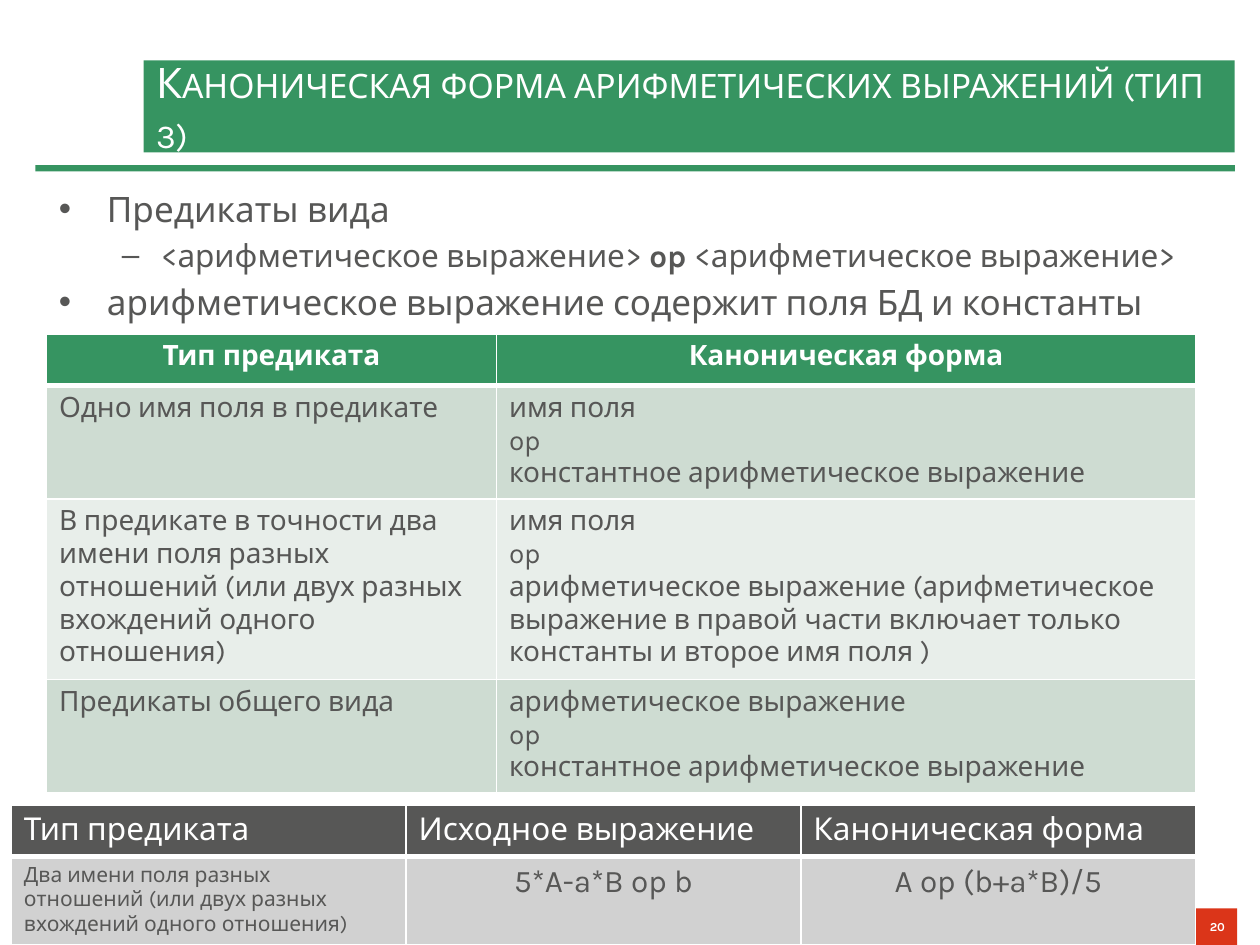
from lxml.etree import SubElement
from pptx import Presentation
from pptx.dml.color import RGBColor
from pptx.enum.shapes import MSO_SHAPE
from pptx.enum.text import MSO_ANCHOR, PP_ALIGN
from pptx.oxml.ns import qn
from pptx.util import Inches, Pt

FONT = "Karla"
COLORS = {
    "green": "369461",
    "red": "DB3519",
    "text": "575756",
    "white": "FFFFFF",
    "mint": "CEDCD2",
    "pale": "E8EEEA",
    "gray": "D1D1D1",
}


def color(name):
    """Return the named colour as RGB."""
    return RGBColor.from_string(COLORS[name])


def add_run(paragraph, text, size, ink, bold=False):
    """Append one styled run to a paragraph."""
    run = paragraph.add_run()
    run.text = text
    run.font.name = FONT
    run.font.size = Pt(size)
    run.font.bold = bold
    run.font.color.rgb = color(ink)
    return run


def add_block(slide, box, fill):
    """Add a plain filled rectangle and return it."""
    block = slide.shapes.add_shape(MSO_SHAPE.RECTANGLE, *map(Inches, box))
    block.shadow.inherit = False
    block.fill.solid()
    block.fill.fore_color.rgb = color(fill)
    block.line.fill.background()
    return block


def add_label(slide, box, fill, text, size, bold, align, inset):
    """Add a rectangle holding one line of white text and return its run."""
    frame = add_block(slide, box, fill).text_frame
    frame.word_wrap = True
    frame.vertical_anchor = MSO_ANCHOR.MIDDLE
    frame.margin_top = frame.margin_bottom = Inches(inset)
    frame.paragraphs[0].alignment = align
    return add_run(frame.paragraphs[0], text, size, "white", bold)


def add_header(slide, left, top, width):
    """Add the title band and the rule below it."""
    indent = 0.86
    title = add_label(slide, (left + indent, top, width - indent, 0.73), "green",
                      "Каноническая форма арифметических выражений (тип 3)",
                      24, False, PP_ALIGN.LEFT, 0.12)
    title.font._element.set("cap", "small")
    add_block(slide, (left, top + 0.83, width, 0.05), "green")


def add_bullets(slide, box, items):
    """Add a two-level bullet list."""
    frame = slide.shapes.add_textbox(*map(Inches, box)).text_frame
    frame.word_wrap = True
    levels = [("•", 0.38, 0.38, 20), ("–", 0.81, 0.31, 18)]
    for index, (level, parts) in enumerate(items):
        paragraph = frame.paragraphs[0] if index == 0 else frame.add_paragraph()
        mark, margin, hanging, size = levels[level]
        paragraph.level = level
        properties = paragraph._p.get_or_add_pPr()
        properties.set("marL", str(Inches(margin)))
        properties.set("indent", str(-Inches(hanging)))
        SubElement(properties, qn("a:buFont"), typeface="Arial")
        SubElement(properties, qn("a:buChar"), char=mark)
        if index:
            paragraph.space_before = Pt(size * 0.2)
        for text, bold in parts:
            add_run(paragraph, text, size, "text", bold)


def style_cell(cell, fill, bottom_width):
    """Give a cell its white borders and its fill."""
    properties = cell._tc.get_or_add_tcPr()
    for side, width in (("L", 1), ("R", 1), ("T", 1), ("B", bottom_width)):
        border = SubElement(properties, qn(f"a:ln{side}"), w=str(Pt(width)))
        ink = SubElement(border, qn("a:solidFill"))
        SubElement(ink, qn("a:srgbClr"), val=COLORS["white"])
    cell.fill.solid()
    cell.fill.fore_color.rgb = color(fill)


def add_grid(slide, box, widths, rows):
    """Add a table whose rows hold a fill, an ink, a weight and cells."""
    holder = slide.shapes.add_table(len(rows), len(widths), *map(Inches, box))
    table = holder.table
    for column, width in zip(table.columns, widths):
        column.width = Inches(width)
    for row_index, (fill, ink, bold, cells) in enumerate(rows):
        table.rows[row_index].height = Inches(0.41)
        for column_index, (lines, size, align) in enumerate(cells):
            cell = table.cell(row_index, column_index)
            style_cell(cell, fill, 1 if row_index else 3)
            for line_index, line in enumerate(lines):
                frame = cell.text_frame
                paragraph = frame.add_paragraph() if line_index else frame.paragraphs[0]
                paragraph.alignment = align
                add_run(paragraph, line, size, ink, bold)
    holder.height = Inches(box[3])


def add_forms_table(slide, box):
    """Add the table of predicate types and their canonical forms."""
    heads = ["Тип предиката", "Каноническая форма"]
    forms = [
        ("mint", "Одно имя поля в предикате",
         ["имя поля", "op", "константное арифметическое выражение"]),
        ("pale", "В предикате в точности два имени поля разных отношений "
                 "(или двух разных вхождений одного отношения)",
         ["имя поля", "op", "арифметическое выражение (арифметическое выражение в правой "
                            "части включает только константы и второе имя поля )"]),
        ("mint", "Предикаты общего вида",
         ["арифметическое выражение", "op", "константное арифметическое выражение"]),
    ]
    rows = [("green", "white", True, [([head], 16, PP_ALIGN.CENTER) for head in heads])]
    rows += [(fill, "text", False, [([kind], 16, PP_ALIGN.LEFT), (form, 16, PP_ALIGN.LEFT)])
             for fill, kind, form in forms]
    add_grid(slide, box, [3.57, 5.55], rows)


def add_example_table(slide, box):
    """Add the table with one worked example."""
    heads = ["Тип предиката", "Исходное выражение", "Каноническая форма"]
    example = [
        (["Два имени поля разных отношений (или двух разных вхождений одного отношения)"],
         12, PP_ALIGN.LEFT),
        (["5*A-a*B op b"], 18, PP_ALIGN.CENTER),
        (["A op (b+a*B)/5"], 18, PP_ALIGN.CENTER),
    ]
    rows = [
        ("text", "white", False, [([head], 18, PP_ALIGN.LEFT) for head in heads]),
        ("gray", "text", False, example),
    ]
    add_grid(slide, box, [box[2] / len(heads)] * len(heads), rows)


def main():
    """Build and save the slide."""
    deck = Presentation()
    deck.slide_width, deck.slide_height = Inches(10), Inches(7.5)
    slide = deck.slides.add_slide(deck.slide_layouts[6])
    add_header(slide, 0.28, 0.48, 9.52)
    add_label(slide, (9.49, 7.21, 0.33, 0.29), "red", "20", 7, True, PP_ALIGN.RIGHT, 0.05)
    add_bullets(slide, (0.37, 1.44, 9.4, 1.45), [
        (0, [("Предикаты вида", False)]),
        (1, [("<арифметическое выражение> ", False), ("op ", True),
             ("<арифметическое выражение>", False)]),
        (0, [("арифметическое выражение содержит поля БД и константы", False)]),
    ])
    add_forms_table(slide, (0.37, 2.65, 9.12, 3.64))
    add_example_table(slide, (0.09, 6.39, 9.4, 1.11))
    deck.save("out.pptx")


if __name__ == "__main__":
    main()
